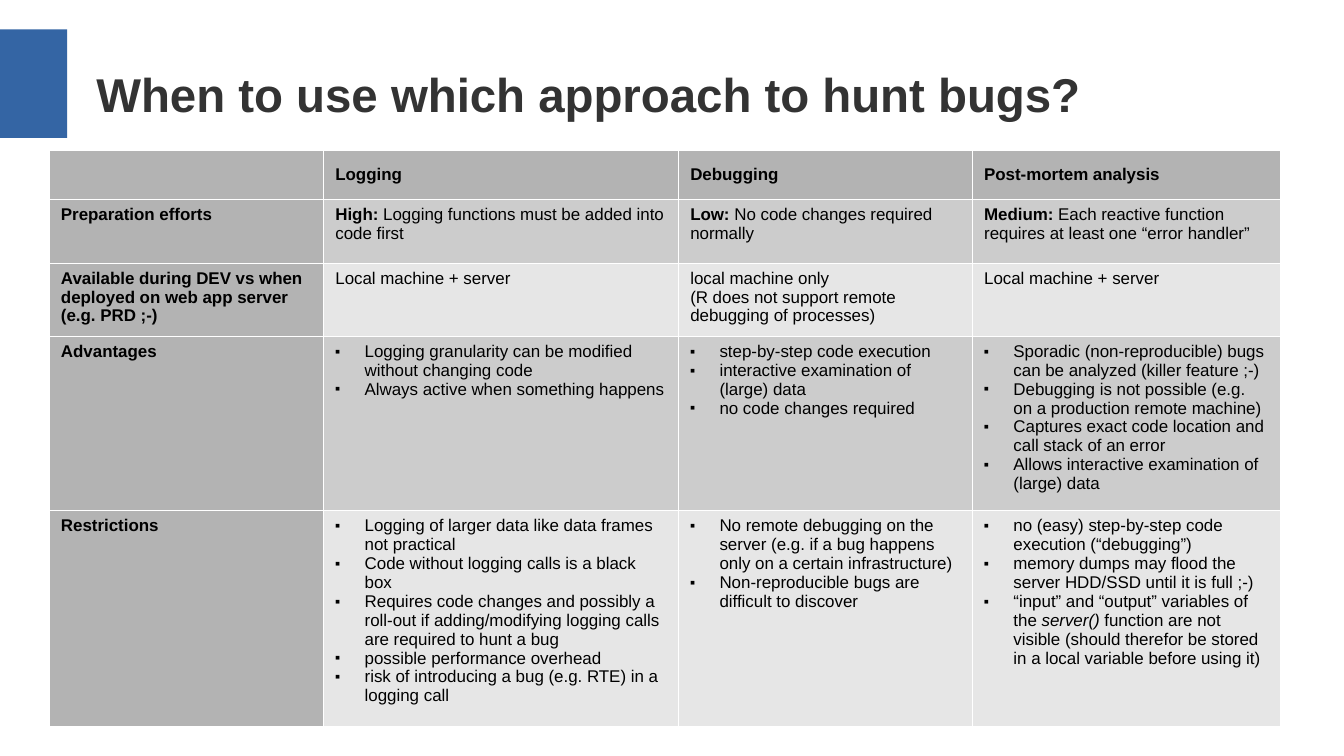
from lxml import etree
from pptx import Presentation
from pptx.dml.color import RGBColor
from pptx.enum.shapes import MSO_SHAPE
from pptx.enum.text import MSO_ANCHOR, PP_ALIGN
from pptx.oxml.ns import qn
from pptx.util import Inches, Pt

RECT = MSO_SHAPE.RECTANGLE
TOP, MIDDLE = MSO_ANCHOR.TOP, MSO_ANCHOR.MIDDLE
LEFT = PP_ALIGN.LEFT
FONT = "Arial"
BLUE, DARK, BLACK, WHITE = "3465A4", "333333", "000000", "FFFFFF"
HEAD_FILL = "B3B3B3"
BODY_FILLS = ["CCCCCC", "E6E6E6"]
COL_WIDTHS = [2.25, 2.91, 2.41, 2.53]
ROW_HEIGHTS = [0.38, 0.52, 0.6, 1.43, 1.77]

# A list is bulleted; asterisks mark bold text, or italic text in a bullet.
ROWS = [
    ["", "*Logging*", "*Debugging*", "*Post-mortem analysis*"],
    ["*Preparation efforts*",
     "*High:* Logging functions must be added into code first",
     "*Low:* No code changes required normally",
     "*Medium:* Each reactive function requires at least one “error handler”"],
    ["*Available during DEV vs when deployed on web app server (e.g. PRD ;-)*",
     "Local machine + server",
     "local machine only\n(R does not support remote debugging of processes)",
     "Local machine + server"],
    ["*Advantages*",
     ["Logging granularity can be modified without changing code",
      "Always active when something happens"],
     ["step-by-step code execution",
      "interactive examination of (large) data",
      "no code changes required"],
     ["Sporadic (non-reproducible) bugs can be analyzed (killer feature ;-)",
      "Debugging is not possible (e.g. on a production remote machine)",
      "Captures exact code location and call stack of an error",
      "Allows interactive examination of (large) data"]],
    ["*Restrictions*",
     ["Logging of larger data like data frames not practical",
      "Code without logging calls is a black box",
      "Requires code changes and possibly a roll-out if adding/modifying "
      "logging calls are required to hunt a bug",
      "possible performance overhead",
      "risk of introducing a bug (e.g. RTE) in a logging call"],
     ["No remote debugging on the server (e.g. if a bug happens only on a "
      "certain infrastructure)",
      "Non-reproducible bugs are difficult to discover"],
     ["no (easy) step-by-step code execution (“debugging”)",
      "memory dumps may flood the server HDD/SSD until it is full ;-)",
      "“input” and “output” variables of the *server()* function are not "
      "visible (should therefor be stored in a local variable before using it)"]],
]


def rgb(color):
    return RGBColor.from_string(color)


def add_xml(parent, tag, **attrs):
    return etree.SubElement(parent, qn(tag), attrs)


prs = Presentation()
prs.slide_width, prs.slide_height = Inches(11.02), Inches(6.2)
s = prs.slides.add_slide(prs.slide_layouts[5])

bar = s.shapes.add_shape(RECT, 0, Inches(0.24), Inches(0.55), Inches(0.89))
bar.shadow.inherit = False
bar.fill.solid()
bar.fill.fore_color.rgb = rgb(BLUE)
bar.line.fill.background()

title = s.shapes.title
title.left, title.top = Inches(0.79), Inches(0.25)
title.width, title.height = Inches(9.68), Inches(1.04)
tf = title.text_frame
tf.margin_left = tf.margin_right = tf.margin_top = tf.margin_bottom = 0
tf.vertical_anchor = MIDDLE
p = tf.paragraphs[0]
p.alignment = LEFT
r = p.add_run()
r.text = "When to use which approach to hunt bugs?"
r.font.name, r.font.size, r.font.bold = FONT, Pt(28), True
r.font.color.rgb = rgb(DARK)

table = s.shapes.add_table(
    len(ROWS), len(COL_WIDTHS), Inches(0.4), Inches(1.23),
    Inches(sum(COL_WIDTHS)), Inches(sum(ROW_HEIGHTS))).table
table.first_row = table.horz_banding = False
for column, width in zip(table.columns, COL_WIDTHS):
    column.width = Inches(width)
for row, height in zip(table.rows, ROW_HEIGHTS):
    row.height = Inches(height)

for i, row in enumerate(ROWS):
    for j, content in enumerate(row):
        cell = table.cell(i, j)
        cell.margin_left = cell.margin_right = Inches(0.1)
        cell.margin_top = cell.margin_bottom = Inches(0.05)
        cell.vertical_anchor = TOP if i else MIDDLE
        tc_pr = cell._tc.get_or_add_tcPr()
        for side in ("a:lnL", "a:lnR", "a:lnT", "a:lnB"):
            border = add_xml(tc_pr, side, w=str(Pt(0.06)))
            add_xml(add_xml(border, "a:solidFill"), "a:srgbClr", val=WHITE)
        cell.fill.solid()
        is_head = i == 0 or j == 0
        cell.fill.fore_color.rgb = rgb(HEAD_FILL if is_head else BODY_FILLS[(i - 1) % 2])

        bulleted = isinstance(content, list)
        tf = cell.text_frame
        for n, text in enumerate(content if bulleted else [content]):
            p = tf.add_paragraph() if n else tf.paragraphs[0]
            if bulleted:
                p_pr = p._p.get_or_add_pPr()
                p_pr.set("marL", str(Inches(0.24)))
                p_pr.set("indent", str(-Inches(0.24)))
                add_xml(add_xml(p_pr, "a:buClr"), "a:srgbClr", val=BLACK)
                add_xml(p_pr, "a:buSzPct", val="45000")
                add_xml(p_pr, "a:buFont", typeface=FONT)
                add_xml(p_pr, "a:buChar", char="■")
            for k, part in enumerate(text.split("*")):
                for m, line in enumerate(part.split("\n")):
                    if m:
                        p.add_line_break()
                    if not line:
                        continue
                    r = p.add_run()
                    r.text = line
                    r.font.name, r.font.size = FONT, Pt(10)
                    r.font.color.rgb = rgb(BLACK)
                    emphasised = k % 2 == 1
                    r.font.bold = emphasised and not bulleted
                    r.font.italic = emphasised and bulleted

prs.save("out.pptx")
